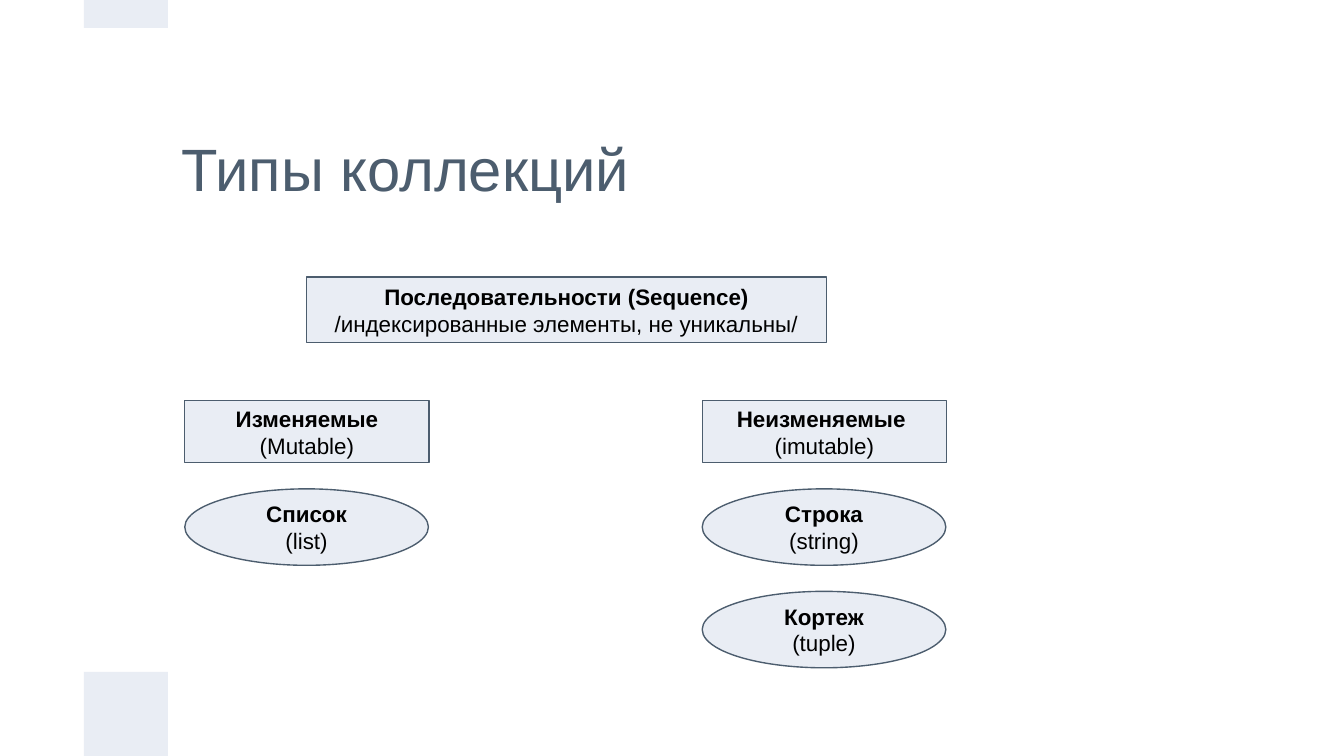
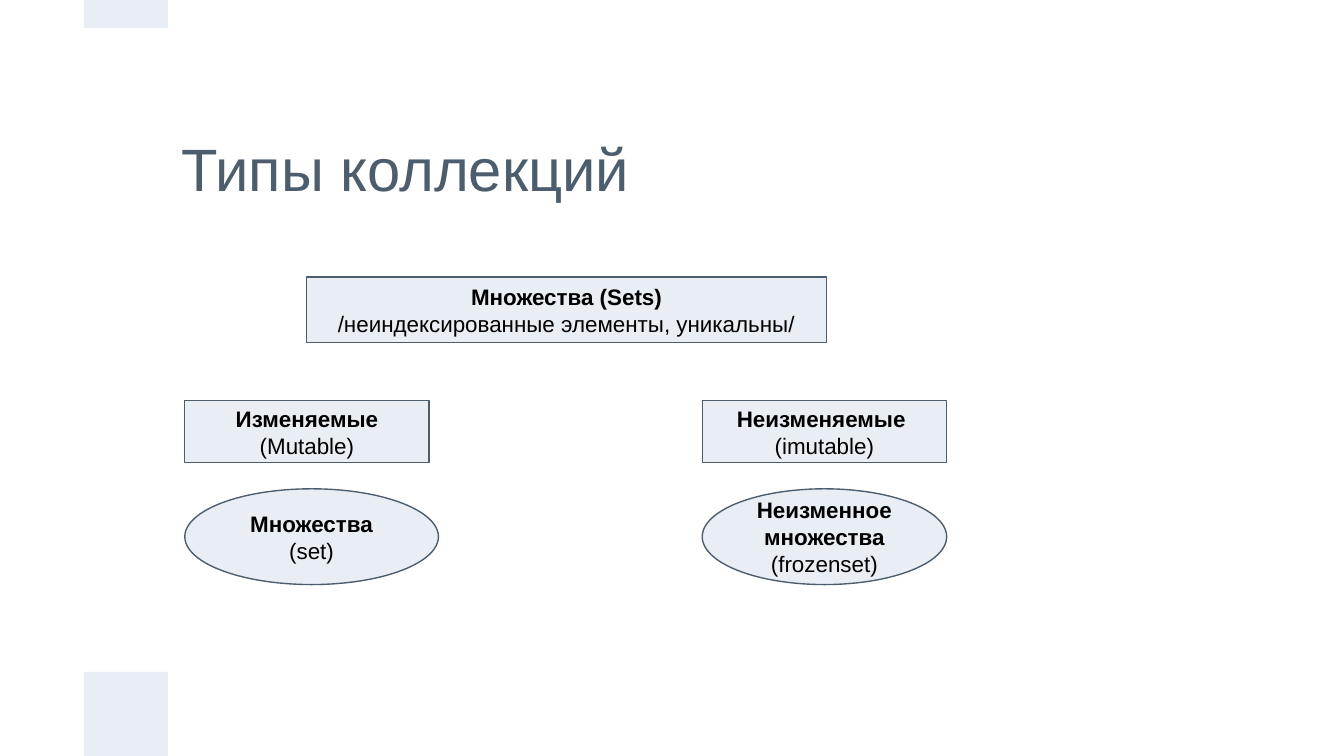
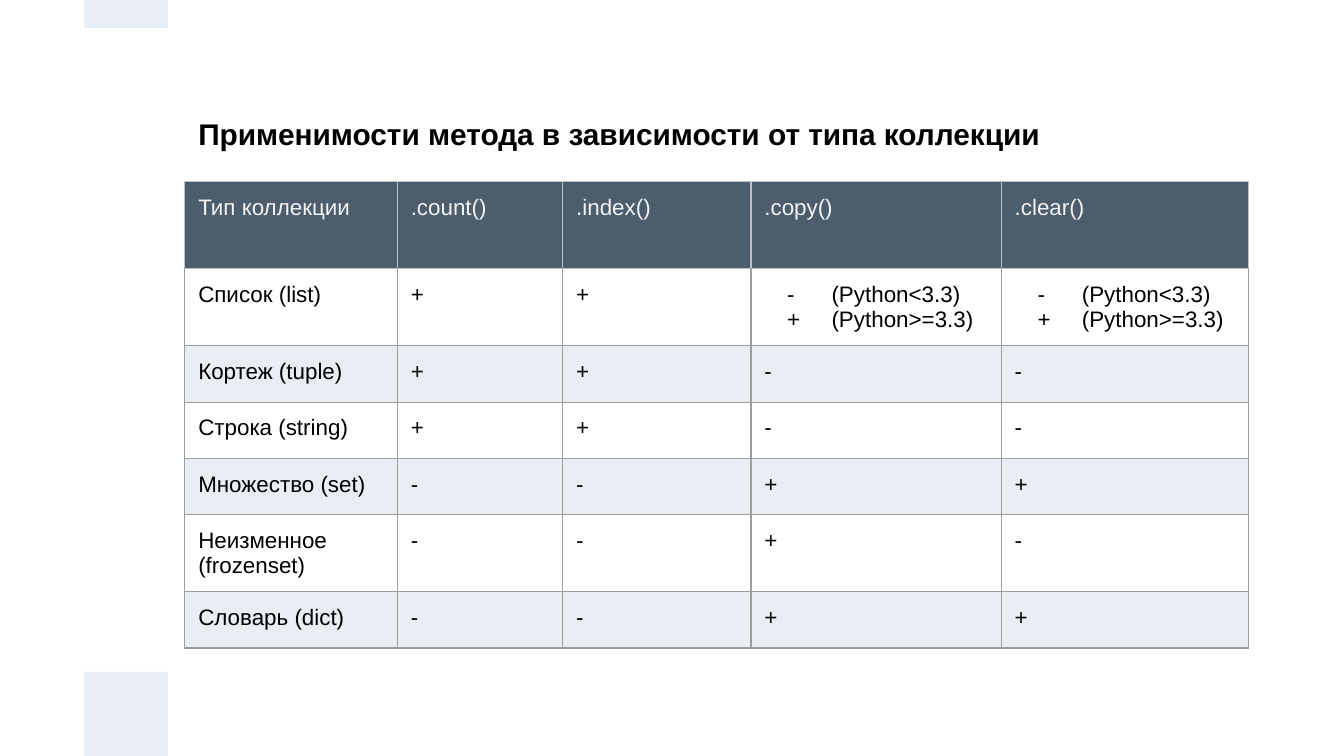
from pptx import Presentation
from pptx.dml.color import RGBColor as Rgb
from pptx.enum.shapes import MSO_SHAPE as Kind
from pptx.enum.text import MSO_ANCHOR as Anchor, MSO_AUTO_SIZE as Fit, PP_ALIGN as Align
from pptx.oxml.ns import qn
from pptx.util import Inches, Pt
from lxml.etree import SubElement as Sub

COLS, ROWS = 16, 9
WIDE = Inches(10)
UNIT = WIDE // COLS  # one square of the grid
FONT = "Arial"
HUES = {"slate": "4C5D6E", "pale": "E9EDF4", "ink": "000000",
        "head": "F3F3F3", "rule": "9E9E9E", "light": "BDC2CA"}

# Diagram columns and rows, in grid squares
LEFT, RIGHT = 2.2, 8.36
FORK, LEAF, STEP = 4.77, 5.82, 1.22


def grid(*nums):
    return [round(n * UNIT) for n in nums]


def hue(name):
    return Rgb.from_string(HUES[name])


# Text
def bullet(para, mark):
    props = para._p.get_or_add_pPr()
    props.set("marL", str(Inches(0.5)))
    props.set("indent", str(Inches(-0.33)))
    tint = Sub(props, qn("a:buClr"))
    Sub(tint, qn("a:srgbClr"), val=HUES["ink"])
    Sub(props, qn("a:buFont"), typeface=FONT)
    Sub(props, qn("a:buChar"), char=mark)


def write(frame, text, size=12, color="ink", bold=0, align=Align.LEFT,
          anchor=Anchor.TOP, marks=""):
    """Write lines of text; the first `bold` lines are bold."""
    frame.word_wrap = True
    frame.vertical_anchor = anchor
    frame.margin_left = frame.margin_right = Inches(0.1)
    frame.margin_top = frame.margin_bottom = Inches(0.1)
    for num, line in enumerate(text.split("\n")):
        para = frame.add_paragraph() if num else frame.paragraphs[0]
        para.alignment = align
        run = para.add_run()
        run.text = line
        font = run.font
        font.name, font.size, font.bold = FONT, Pt(size), num < bold
        font.color.rgb = hue(color)
        if marks:
            bullet(para, marks[num])


# Shapes
def shape(slide, kind, box, line=None):
    item = slide.shapes.add_shape(kind, *grid(*box))
    item.shadow.inherit = False
    item.fill.solid()
    item.fill.fore_color.rgb = hue("pale")
    if line:
        item.line.color.rgb = hue(line)
        item.line.width = Pt(0.75)
    else:
        item.line.fill.background()
    return item


def node(slide, text, *box, kind=Kind.RECTANGLE):
    item = shape(slide, kind, box, line="slate")
    write(item.text_frame, text, bold=1, align=Align.CENTER, anchor=Anchor.MIDDLE)


def start(deck, title, box, **form):
    """Add a slide with its bands and title."""
    slide = deck.slides.add_slide(deck.slide_layouts[5])
    for top, high in ((ROWS - 1, 1), (0, 1 / 3)):
        shape(slide, Kind.RECTANGLE, (1, top, 1, high))
    head = slide.shapes.title
    head.left, head.top, head.width, head.height = grid(*box)
    write(head.text_frame, title, **form)
    head.text_frame.auto_size = Fit.NONE
    return slide


def tree(deck, root, leaves, high):
    """Draw a root, its two branches, and leaves as (text, column, row, width)."""
    slide = start(deck, "Типы коллекций", (2, 1, 12, 2),
                  size=32, color="slate", anchor=Anchor.MIDDLE)
    node(slide, root, 3.65, 3.3, 6.19, 0.78)
    for text, left in (("Изменяемые\n(Mutable)", LEFT),
                       ("Неизменяемые \n(imutable)", RIGHT)):
        node(slide, text, left, FORK, 2.91, 0.74)
    for text, left, row, wide in leaves:
        node(slide, text, left, LEAF + row * STEP, wide, high, kind=Kind.OVAL)


# Table
def edge(cell, side, color):
    line = Sub(cell._tc.get_or_add_tcPr(), qn("a:ln" + side), w=str(Pt(0.75)))
    fill = Sub(line, qn("a:solidFill"))
    Sub(fill, qn("a:srgbClr"), val=HUES[color])


def paint(cell, row):
    for side in "LRTB":
        light = row == 0 or (row == 1 and side == "T")
        edge(cell, side, "light" if light else "rule")
    if row % 2 and row:
        cell.fill.background()
    else:
        cell.fill.solid()
        cell.fill.fore_color.rgb = hue("pale" if row else "slate")


def table(slide, data, left, top, wides, highs):
    box = grid(left, top, sum(wides), sum(highs))
    tab = slide.shapes.add_table(len(data), len(wides), *box).table
    tab.first_row = tab.horz_banding = False
    for col, wide in zip(tab.columns, grid(*wides)):
        col.width = wide
    for row, high in zip(tab.rows, grid(*highs)):
        row.height = high
    for num, line in enumerate(data):
        for col, text in enumerate(line):
            cell = tab.cell(num, col)
            paint(cell, num)
            write(cell.text_frame, text, color="ink" if num else "head",
                  marks="-+" if "\n" in text else "")
            cell.vertical_anchor = Anchor.TOP
            cell.margin_left = cell.margin_right = Inches(0.1)
            cell.margin_top = cell.margin_bottom = Inches(0.1)


def main():
    deck = Presentation()
    deck.slide_width, deck.slide_height = WIDE, UNIT * ROWS

    # Sequences
    tree(deck, "Последовательности (Sequence)\n/индексированные элементы, не уникальны/",
         [("Список\n(list)", LEFT, 0, 2.9),
          ("Строка\n(string)", RIGHT, 0, 2.9),
          ("Кортеж\n(tuple)", RIGHT, 1, 2.9)], 0.91)

    # Sets
    tree(deck, "Множества (Sets)\n/неиндексированные элементы, уникальны/",
         [("Множества\n(set)", LEFT, 0, 3.02),
          ("Неизменное множества\n(frozenset)", RIGHT, 0, 2.91)], 1.14)

    # Methods by type
    slide = start(deck, "Применимости метода в зависимости от типа коллекции",
                  (LEFT, 1.22, 12.51, 0.74), size=16, bold=1)
    since = "(Python<3.3)\n(Python>=3.3)"
    data = [
        ("Тип коллекции", ".count()", ".index()", ".copy()", ".clear()"),
        ("Список (list)", "+", "+", since, since),
        ("Кортеж (tuple)", *"++--"),
        ("Строка (string)", *"++--"),
        ("Множество (set)", *"--++"),
        ("Неизменное (frozenset)", *"--+-"),
        ("Словарь (dict)", *"--++"),
    ]
    table(slide, data, LEFT, 2.16, (2.53, 1.97, 2.24, 2.98, 2.94),
          [1.04] + [0.67] * 6)

    deck.save("out.pptx")


if __name__ == "__main__":
    main()
